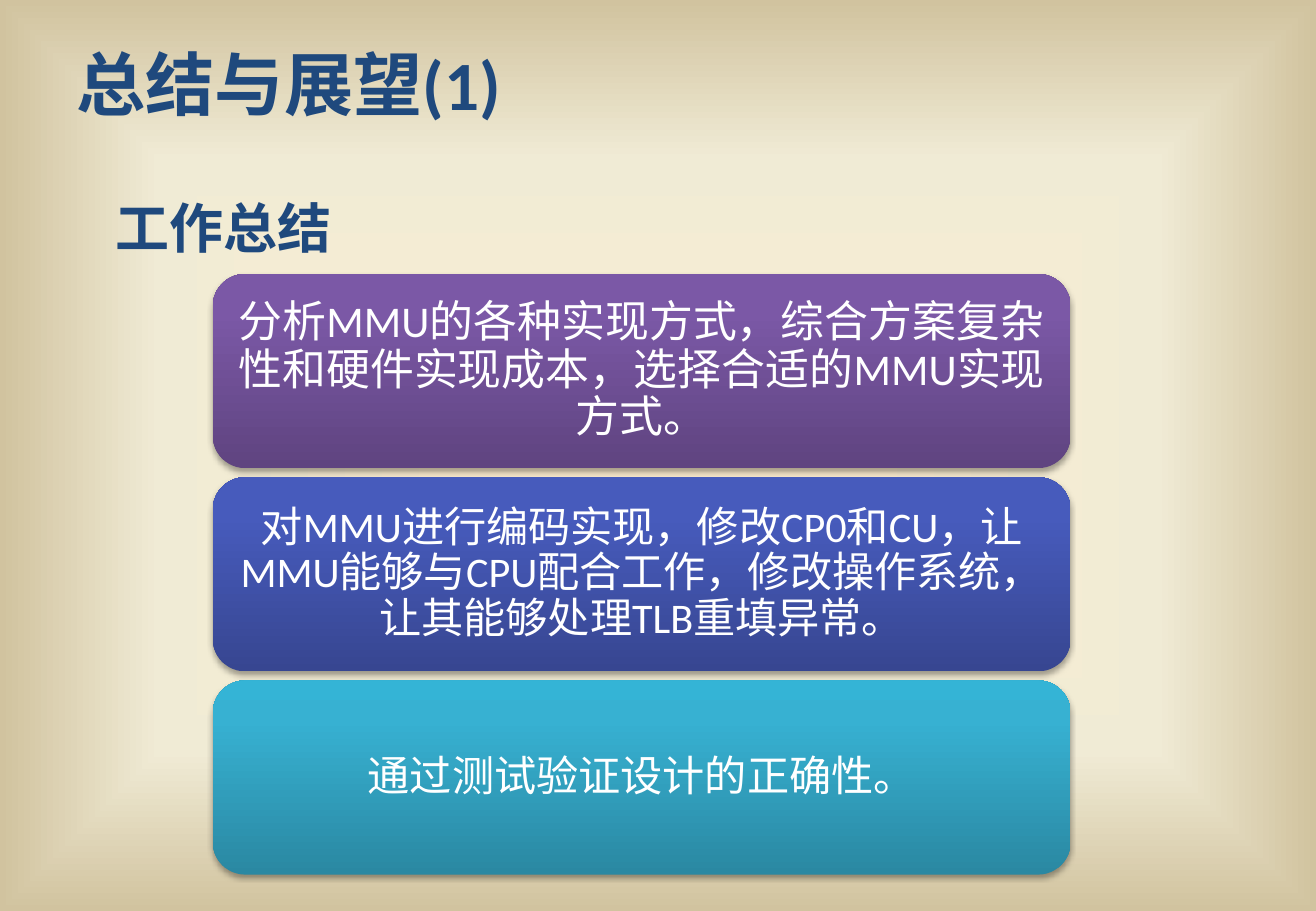
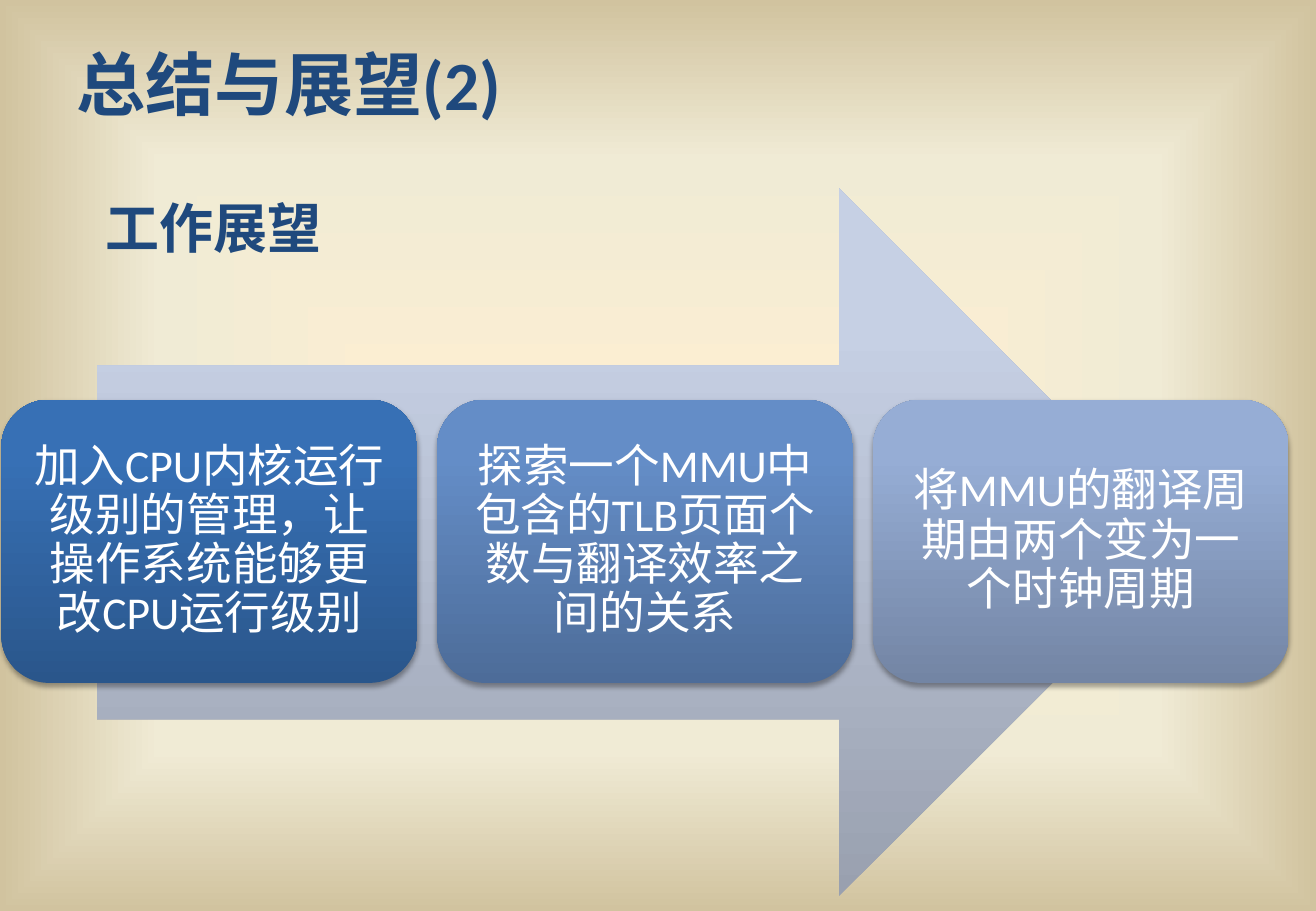
import pptx
import pptx.util
import pptx.dml.color
import pptx.enum.shapes
import pptx.enum.text
import pptx.oxml
import pptx.oxml.ns

Cm = pptx.util.Cm
Pt = pptx.util.Pt
RGBColor = pptx.dml.color.RGBColor
SHAPE = pptx.enum.shapes.MSO_SHAPE
NS = pptx.oxml.ns.nsdecls("a")
qn = pptx.oxml.ns.qn

# Colours and gradients, as (position in percent, colour)
NAVY = RGBColor(0x1F, 0x49, 0x7D)
WHITE = RGBColor(0xFF, 0xFF, 0xFF)
BLACK = RGBColor(0x00, 0x00, 0x00)
FONT = "Calibri"


def ramp(middle, *colors):
    return list(zip((0, middle, 100),
                    (RGBColor.from_string(color) for color in colors)))


PAPER = ramp(65, "FFEFD1", "F0EBD5", "D1C39F")
PURPLE = ramp(80, "5F4480", "7B58A6", "7C57A8")
INDIGO = ramp(80, "374691", "475BBC", "455ABF")
TEAL = ramp(80, "2A88A2", "37B1D2", "34B4D6")
SILVER = ramp(80, "99A0AF", "C6D0E4", "C7D1E5")
DEEP = ramp(80, "2A568B", "3770B5", "3570B8")
MEDIUM = ramp(80, "4D6C99", "648DC7", "638DCA")
LIGHT = ramp(80, "7385A4", "96ADD5", "95ADD7")

UPWARD = f'<a:lin {NS} ang="16200000" scaled="0"/>'
INWARD = (f'<a:path {NS} path="shape">'
          '<a:fillToRect l="50000" t="50000" r="50000" b="50000"/></a:path>')

# Text, gradient, size and side inset of each box
WORK = [
    ("分析MMU的各种实现方式，综合方案复杂性和硬件实现成本，选择合适的MMU实现方式。",
     PURPLE, 26, 0.28),
    ("对MMU进行编码实现，修改CP0和CU，让MMU能够与CPU配合工作，修改操作系统，让其能够处理TLB重填异常。",
     INDIGO, 25, 0.25),
    ("通过测试验证设计的正确性。", TEAL, 25, 0.25),
]
PLANS = [
    ("加入CPU内核运行级别的管理，让操作系统能够更改CPU运行级别", DEEP),
    ("探索一个MMU中包含的TLB页面个数与翻译效率之间的关系", MEDIUM),
    ("将MMU的翻译周期由两个变为一个时钟周期", LIGHT),
]


def shade(fill, root, stops, course):
    """Give a fill a gradient that follows the given course."""
    fill.gradient()
    grad = root.find(".//" + qn("a:gradFill"))
    for child in list(grad):
        grad.remove(child)
    marks = "".join(
        f'<a:gs pos="{place * 1000}"><a:srgbClr val="{color}"/></a:gs>'
        for place, color in stops)
    grad.append(pptx.oxml.parse_xml(f"<a:gsLst {NS}>{marks}</a:gsLst>"))
    grad.append(pptx.oxml.parse_xml(course))


def write(shape, text, size, color, bold=False):
    frame = shape.text_frame
    frame.word_wrap = True
    frame.text = text
    font = frame.paragraphs[0].runs[0].font
    font.name, font.size, font.bold = FONT, Pt(size), bold
    font.color.rgb = color
    return frame


def label(slide, text, left, top, width, height, size):
    box = slide.shapes.add_textbox(Cm(left), Cm(top), Cm(width), Cm(height))
    frame = write(box, text, size, NAVY, bold=True)
    frame.auto_size = pptx.enum.text.MSO_AUTO_SIZE.SHAPE_TO_FIT_TEXT


def block(slide, kind, left, top, width, height, stops):
    shape = slide.shapes.add_shape(
        kind, Cm(left), Cm(top), Cm(width), Cm(height))
    shade(shape.fill, shape.element.spPr, stops, UPWARD)
    shape.line.fill.background()
    shape.shadow.inherit = False
    return shape


def card(slide, text, left, top, width, height, stops, size, side, edge):
    """Draw a rounded box with centred text and a soft shadow."""
    shape = block(slide, SHAPE.ROUNDED_RECTANGLE,
                  left, top, width, height, stops)
    shape.element.spPr.find(qn("a:effectLst")).append(pptx.oxml.parse_xml(
        f'<a:outerShdw {NS} blurRad="{Pt(3.1)}" dist="{Pt(1.8)}" '
        f'dir="5400000" rotWithShape="0"><a:srgbClr val="{BLACK}">'
        '<a:alpha val="35000"/></a:srgbClr></a:outerShdw>'))
    frame = write(shape, text, size, WHITE)
    frame.margin_left = frame.margin_right = Cm(side)
    frame.margin_top = frame.margin_bottom = Cm(edge)
    frame.vertical_anchor = pptx.enum.text.MSO_ANCHOR.MIDDLE
    frame.paragraphs[0].alignment = pptx.enum.text.PP_ALIGN.CENTER
    frame.paragraphs[0].line_spacing = 0.9


def start(deck):
    return deck.slides.add_slide(deck.slide_layouts[6])


def heads(slide, title, topic, left):
    label(slide, title, 1.35, 0.74, 23.4, 2, 41)
    label(slide, topic, left, 3.94, 7.04, 1.63, 32)


def main():
    deck = pptx.Presentation()
    deck.slide_width, deck.slide_height = Cm(27.51), Cm(19.05)
    master = deck.slide_master
    shade(master.background.fill, master.element, PAPER, INWARD)

    # Work done: stacked cards
    slide = start(deck)
    for row, (text, stops, size, side) in enumerate(WORK):
        card(slide, text, 4.45, 5.73 + 4.25 * row, 17.93, 4.06,
             stops, size, side, 0.13)
    heads(slide, "总结与展望(1)", "工作总结", 2.16)

    # Work ahead: steps along an arrow
    slide = start(deck)
    block(slide, SHAPE.RIGHT_ARROW, 2.03, 3.94, 22.91, 14.8, SILVER)
    for step, (text, stops) in enumerate(PLANS):
        card(slide, text, 0.03 + 9.11 * step, 8.36, 8.69, 5.92,
             stops, 27, 0.28, 0.28)
    heads(slide, "总结与展望(2)", "工作展望", 1.96)

    deck.save("out.pptx")


main()
